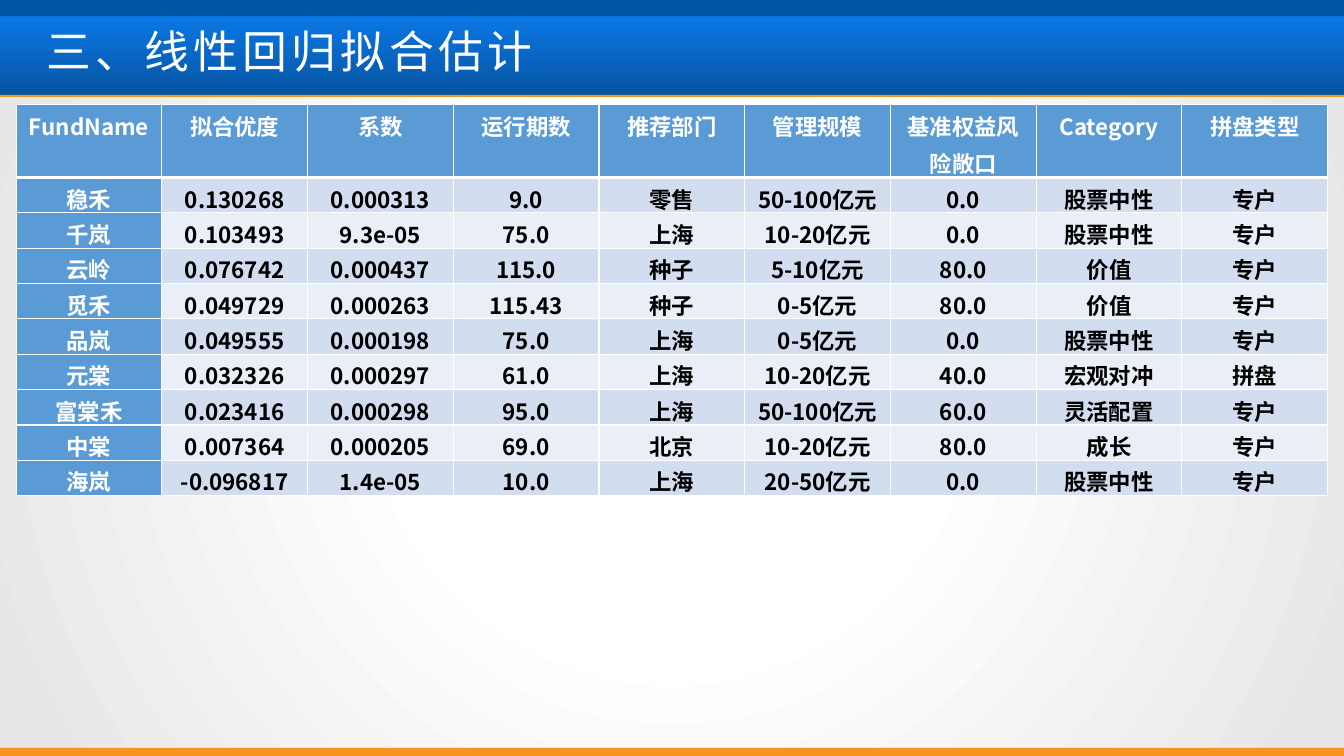
from dataclasses import dataclass
from lxml import etree
from pptx import Presentation
from pptx.dml.color import RGBColor as RGB
from pptx.enum.shapes import MSO_SHAPE as Shape
from pptx.enum.text import MSO_ANCHOR as Anchor, PP_ALIGN as Align
from pptx.oxml.ns import qn
from pptx.util import Inches, Pt


# Colours, fonts and type sizes
@dataclass(frozen=True)
class Theme:
    white: str = "FFFFFF"
    black: str = "000000"
    edge: str = "E5E5E5"
    deep: str = "0754A1"
    sky: str = "0A78E5"
    navy: str = "0054A5"
    orange: str = "F7941D"
    head: str = "5B9BD5"
    bands: tuple = ("D2DEEF", "EAEFF7")
    title_font: str = "Arial"
    cell_font: str = "Noto Sans CJK SC"
    title_size: int = 32
    cell_size: int = 16


THEME = Theme()
WIDE, HIGH = 13.33, 7.5

TITLE = "三、线性回归拟合估计"
ROWS = [
    ["FundName", "拟合优度", "系数", "运行期数", "推荐部门", "管理规模",
     "基准权益风险敞口", "Category", "拼盘类型"],
    ["稳禾", "0.130268", "0.000313", "9.0", "零售", "50-100亿元", "0.0", "股票中性", "专户"],
    ["千岚", "0.103493", "9.3e-05", "75.0", "上海", "10-20亿元", "0.0", "股票中性", "专户"],
    ["云岭", "0.076742", "0.000437", "115.0", "种子", "5-10亿元", "80.0", "价值", "专户"],
    ["觅禾", "0.049729", "0.000263", "115.43", "种子", "0-5亿元", "80.0", "价值", "专户"],
    ["品岚", "0.049555", "0.000198", "75.0", "上海", "0-5亿元", "0.0", "股票中性", "专户"],
    ["元棠", "0.032326", "0.000297", "61.0", "上海", "10-20亿元", "40.0", "宏观对冲", "拼盘"],
    ["富棠禾", "0.023416", "0.000298", "95.0", "上海", "50-100亿元", "60.0", "灵活配置", "专户"],
    ["中棠", "0.007364", "0.000205", "69.0", "北京", "10-20亿元", "80.0", "成长", "专户"],
    ["海岚", "-0.096817", "1.4e-05", "10.0", "上海", "20-50亿元", "0.0", "股票中性", "专户"],
]


def add_bar(slide, box, color):
    bar = slide.shapes.add_shape(Shape.RECTANGLE, *map(Inches, box))
    bar.shadow.inherit = False
    bar.line.fill.background()
    bar.fill.solid()
    bar.fill.fore_color.rgb = RGB.from_string(color)
    return bar


def add_run(para, text, font, size, color, bold=False):
    run = para.add_run()
    run.text = text
    run.font.name = font
    run.font.size = Pt(size)
    run.font.bold = bold
    run.font.color.rgb = RGB.from_string(color)
    return run


def add_glow(slide, box):
    """Radial wash, white in the middle and grey at the corners."""
    glow = add_bar(slide, box, THEME.white)
    solid = glow.element.spPr.find(qn("a:solidFill"))
    grad = etree.Element(qn("a:gradFill"), rotWithShape="1")
    stops = etree.SubElement(grad, qn("a:gsLst"))
    for pos, color in ((0, THEME.white), (35, THEME.white), (100, THEME.edge)):
        stop = etree.SubElement(stops, qn("a:gs"), pos=str(pos * 1000))
        etree.SubElement(stop, qn("a:srgbClr"), val=color)
    shade = etree.SubElement(grad, qn("a:path"), path="circle")
    etree.SubElement(shade, qn("a:fillToRect"), dict.fromkeys("ltrb", "50000"))
    solid.getparent().replace(solid, grad)


def add_header(slide, box, text):
    left, top, width, height = box
    strip = 0.16

    # Blue band with its top strip and bottom rule
    band = add_bar(slide, (left, top + strip, width, height - strip), THEME.sky)
    band.fill.gradient()
    band.fill.gradient_angle = 90
    for stop, color in zip(band.fill.gradient_stops, (THEME.deep, THEME.sky)):
        stop.color.rgb = RGB.from_string(color)
    add_bar(slide, (left, top, width, strip), THEME.navy)
    add_bar(slide, (left, top + height - 0.01, width, 0.02), THEME.orange)

    # Title
    area = (left + 0.46, top + 0.27, 10.63, 0.47)
    frame = slide.shapes.add_textbox(*map(Inches, area)).text_frame
    frame.margin_left = frame.margin_right = 0
    frame.margin_top = frame.margin_bottom = 0
    frame.word_wrap = True
    frame.vertical_anchor = Anchor.MIDDLE
    run = add_run(frame.paragraphs[0], text, THEME.title_font,
                  THEME.title_size, THEME.white)
    run.font._element.set("spc", "300")


def set_edges(cell, top, bottom):
    props = cell._tc.get_or_add_tcPr()
    for side, width in (("L", 1), ("R", 1), ("T", top), ("B", bottom)):
        line = etree.SubElement(props, qn("a:ln" + side), w=str(Pt(width)))
        fill = etree.SubElement(line, qn("a:solidFill"))
        etree.SubElement(fill, qn("a:srgbClr"), val=THEME.white)


def fill_cell(cell, text, row, col):
    is_head = row == 0 or col == 0
    set_edges(cell, 3 if row == 1 else 1, 3 if row == 0 else 1)
    cell.fill.solid()
    color = THEME.head if is_head else THEME.bands[(row - 1) % 2]
    cell.fill.fore_color.rgb = RGB.from_string(color)
    cell.margin_left = cell.margin_right = Inches(0.07)
    cell.margin_top = cell.margin_bottom = 0
    para = cell.text_frame.paragraphs[0]
    para.alignment = Align.CENTER
    para.line_spacing = 1.15
    para.space_after = Pt(10)
    run = add_run(para, text, THEME.cell_font, THEME.cell_size,
                  THEME.white if is_head else THEME.black, bold=True)
    etree.SubElement(run.font._element, qn("a:ea"), typeface=THEME.cell_font)


def add_funds(slide, box, rows):
    width, height = box[2:]
    count, head = len(rows[0]), 0.72
    table = slide.shapes.add_table(len(rows), count, *map(Inches, box)).table
    for col in table.columns:
        col.width = Inches(width / count)
    for row in table.rows:
        row.height = Inches((height - head) / (len(rows) - 1))
    table.rows[0].height = Inches(head)
    for r, row in enumerate(rows):
        for c, text in enumerate(row):
            fill_cell(table.cell(r, c), text, r, c)


def main():
    deck = Presentation()
    deck.slide_width, deck.slide_height = Inches(WIDE), Inches(HIGH)
    slide = deck.slides.add_slide(deck.slide_layouts[6])
    add_glow(slide, (0, 0, WIDE, HIGH))
    add_header(slide, (0, 0, WIDE, 0.95), TITLE)
    add_bar(slide, (0, HIGH - 0.08, WIDE, 0.08), THEME.orange)
    add_funds(slide, (0.16, 1.04, 13.01, 3.88), ROWS)
    deck.save("out.pptx")


if __name__ == "__main__":
    main()
